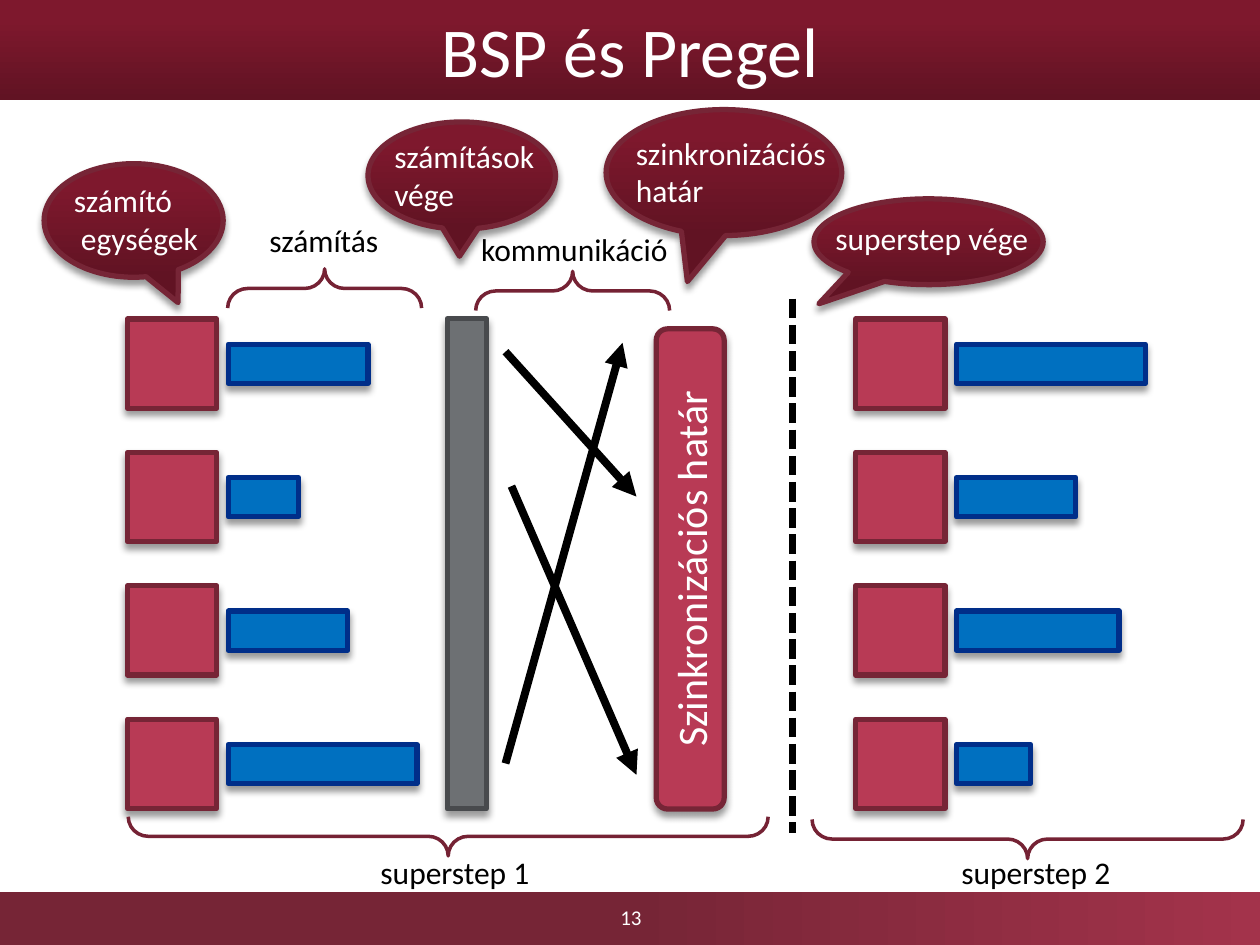
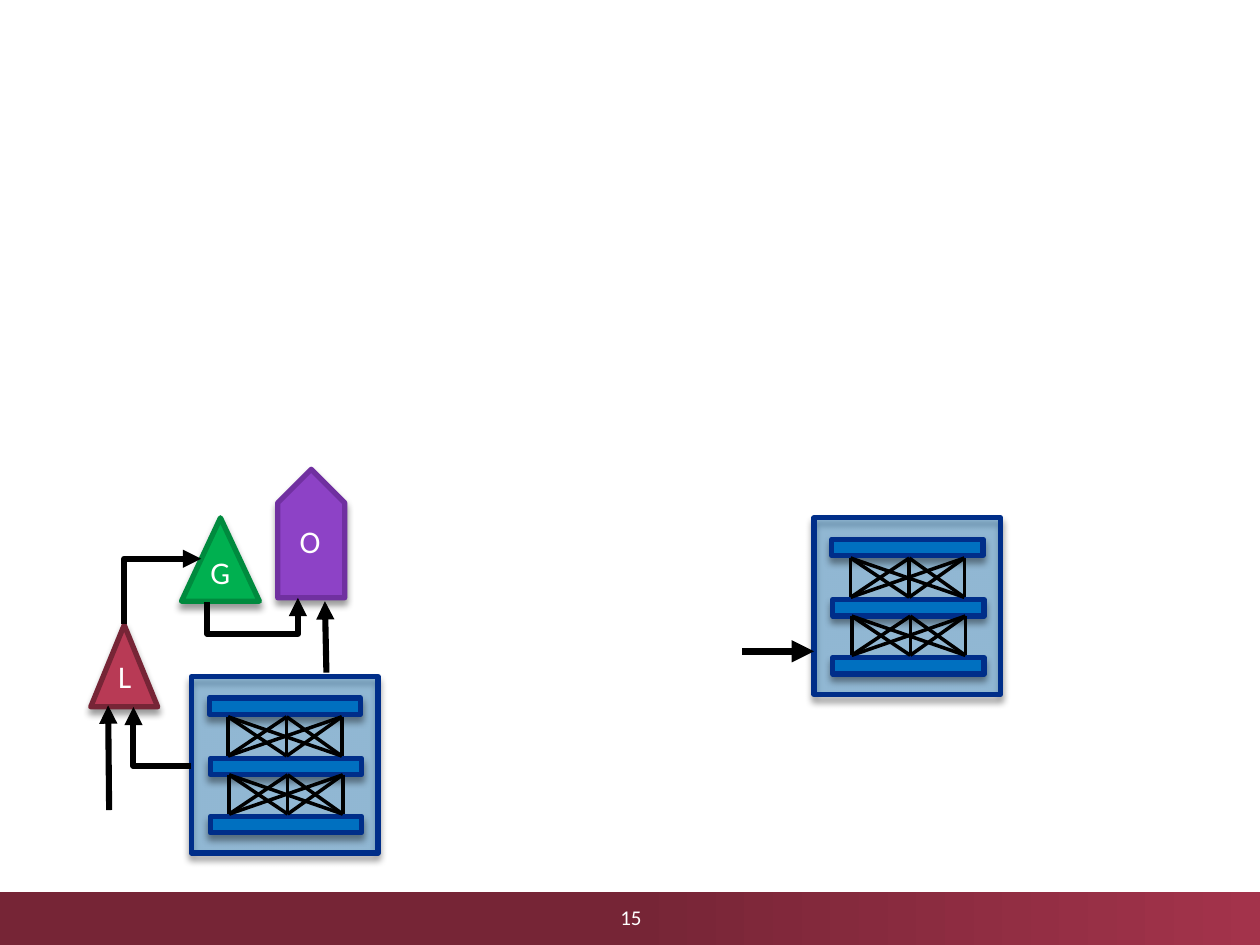
from copy import deepcopy
from itertools import product

from lxml import etree
from pptx import Presentation, util as u
from pptx.dml.color import RGBColor
from pptx.enum import dml, shapes, text
from pptx.oxml.ns import qn

DARK_RED = [(0, "611323"), (0.8, "7E182D"), (1, "81162D")]
FOOTER_RED = [(0, "762536"), (0.5, "762536"), (1, "A3334B")]
THEME = {
    "font": "Calibri",
    "white": "FFFFFF",
    "black": "000000",
    "title": 40,
    "barrier": 24,
    "label": 18,
    "number": 12,
    "looks": {
        "title": {"gradient": DARK_RED, "angle": 90},
        "footer": {"gradient": FOOTER_RED, "angle": 0},
        "callout": {"gradient": DARK_RED, "angle": 90, "line": "762536", "weight": 3, "shadow": True},
        "unit": {"fill": "B83A55", "line": "762536", "weight": 3, "shadow": True},
        "work": {"fill": "0070C0", "line": "002E89", "weight": 3, "shadow": True},
        "module": {"fill": "0070C0", "alpha": 34, "line": "002E89", "weight": 3, "shadow": True},
        "finish": {"fill": "6D7073", "line": "484A4D", "weight": 3, "shadow": True},
        "global": {"fill": "00B050", "line": "008A3E", "weight": 3, "shadow": True},
        "output": {"fill": "8D42C6", "line": "7030A0", "weight": 3, "shadow": True},
        "brace": {"line": "752234", "weight": 2},
        "plain": {},
    },
}
MIDDLE = {"vertical_anchor": text.MSO_ANCHOR.MIDDLE, "word_wrap": True}
WRAPPED = {"word_wrap": True, "auto_size": text.MSO_AUTO_SIZE.SHAPE_TO_FIT_TEXT}
ONE_LINE = {**WRAPPED, "word_wrap": False}
KIND = shapes.MSO_SHAPE


def paint(part, look, words="", size="label", ink="white", frame=WRAPPED, align=None, turn=0, bends=()):
    style = THEME["looks"][look]
    if look != "title":
        part.rotation = turn
        part.shadow.inherit = False
    for place, bend in enumerate(bends):
        part.adjustments[place] = bend
    props = part._element.spPr
    if "gradient" in style:
        part.fill.gradient()
        part.fill.gradient_angle = style["angle"]
        stop_list = props.find(".//" + qn("a:gsLst"))
        stop_list.append(deepcopy(stop_list[0]))
        for stop, (position, colour) in zip(part.fill.gradient_stops, style["gradient"]):
            stop.position = position
            stop.color.rgb = RGBColor.from_string(colour)
    elif "fill" in style:
        part.fill.solid()
        part.fill.fore_color.rgb = RGBColor.from_string(style["fill"])
        if "alpha" in style:
            colour = props.find(qn("a:solidFill"))[0]
            etree.SubElement(colour, qn("a:alpha"), val=str(style["alpha"] * 1000))
    else:
        part.fill.background()
    if "line" in style:
        part.line.color.rgb = RGBColor.from_string(style["line"])
        part.line.width = u.Pt(style["weight"])
    else:
        part.line.fill.background()
    if "shadow" in style:
        shade = etree.SubElement(props.find(qn("a:effectLst")), qn("a:outerShdw"),
                                 blurRad=str(u.Pt(4)), dist=str(u.Pt(3)), dir="5400000", rotWithShape="0")
        colour = etree.SubElement(shade, qn("a:srgbClr"), val=THEME["black"])
        etree.SubElement(colour, qn("a:alpha"), val="40000")
    if words:
        part.text_frame.text = words
        for name, value in frame.items():
            setattr(part.text_frame, name, value)
        for paragraph in part.text_frame.paragraphs:
            paragraph.alignment = align
            for name, value in {"name": THEME["font"], "size": u.Pt(THEME[size])}.items():
                setattr(paragraph.font, name, value)
            paragraph.font.color.rgb = RGBColor.from_string(THEME[ink])
    return part


def draw_line(canvas, ends, weight, arrow=True, dash=None, kind=shapes.MSO_CONNECTOR.STRAIGHT):
    link = canvas.add_connector(kind, *map(u.Cm, ends))
    link.line.color.rgb = RGBColor.from_string(THEME["black"])
    link.line.width = u.Pt(weight)
    if dash:
        link.line.dash_style = dash
    props = link._element.spPr
    if arrow:
        etree.SubElement(props.find(qn("a:ln")), qn("a:tailEnd"), type="triangle")
    etree.SubElement(props, qn("a:effectLst"))
    return link


deck = Presentation()
deck.slide_width, deck.slide_height = u.Cm(25.4), u.Cm(19.05)
bsp = deck.slides.add_slide(deck.slide_layouts[5])
dataflow = deck.slides.add_slide(deck.slide_layouts[6])

for slide, number in [(bsp, "13"), (dataflow, "15")]:
    paint(slide.shapes.add_shape(KIND.RECTANGLE, *map(u.Cm, (0, 17.98, 25.4, 1.07))), "footer")
    paint(slide.shapes.add_textbox(*map(u.Cm, (9.86, 17.98, 5.72, 1.02))), "plain",
          number, "number", frame=MIDDLE, align=text.PP_ALIGN.CENTER)

heading = bsp.shapes.title
for side, length in {"left": 0, "top": 0, "width": 25.4, "height": 2.01}.items():
    setattr(heading, side, u.Cm(length))
paint(heading, "title", "BSP és Pregel", "title", frame=MIDDLE, align=text.PP_ALIGN.CENTER)

supersteps = [(2.57, [2.82, 1.42, 2.41, 3.81]), (17.25, [3.81, 2.41, 3.28, 1.5])]
for left, durations in supersteps:
    for row, duration in enumerate(durations):
        top = 6.43 + 2.69 * row
        paint(bsp.shapes.add_shape(KIND.RECTANGLE, *map(u.Cm, (left, top, 1.8, 1.8))), "unit")
        paint(bsp.shapes.add_shape(KIND.RECTANGLE, *map(u.Cm, (left + 2.03, top + 0.51, duration, 0.79))), "work")

paint(bsp.shapes.add_shape(KIND.RECTANGLE, *map(u.Cm, (4.47, 10.97, 9.88, 0.79))), "finish", turn=270)
barrier = paint(bsp.shapes.add_shape(KIND.ROUNDED_RECTANGLE, *map(u.Cm, (13.23, 6.63, 1.37, 9.68))), "unit",
                "Szinkronizációs határ", "barrier", frame=MIDDLE, align=text.PP_ALIGN.CENTER)
barrier.text_frame._txBody.bodyPr.set("vert", "vert270")

for message in [(10.19, 7.09, 12.83, 10.01), (10.31, 9.8, 12.83, 15.62), (10.19, 15.39, 12.55, 6.91)]:
    draw_line(bsp.shapes, message, 4.5)
draw_line(bsp.shapes, (15.98, 6.02, 15.98, 16.79), 3.75, arrow=False, dash=dml.MSO_LINE.SQUARE_DOT)

callouts = [
    ("számító\n egységek", (0.89, 3.3, 3.61, 2.29), (0.248, 0.723), (1.24, 3.53, 3.15, 1.8), WRAPPED),
    ("számítások vége", (7.42, 2.46, 3.78, 2.16), (-0.012, 0.753), (7.7, 2.64, 3.86, 1.8), WRAPPED),
    ("szinkronizációs határ", (12.22, 2.21, 4.75, 2.54), (-0.155, 0.865), (12.57, 2.57, 4.34, 1.8), WRAPPED),
    ("superstep vége", (16.41, 4.01, 4.62, 1.73), (-0.479, 0.723), (16.59, 4.29, 4.45, 1.02), ONE_LINE),
]
for words, bubble, pointer, box, frame in callouts:
    paint(bsp.shapes.add_shape(KIND.OVAL_CALLOUT, *map(u.Cm, bubble)), "callout", bends=pointer)
    paint(bsp.shapes.add_textbox(*map(u.Cm, box)), "plain", words, frame=frame)

phases = [
    ("számítás", (6.15, 3.86, 0.79, 3.91), 270, (5.18, 4.34, 2.72, 1.02)),
    ("kommunikáció", (11.15, 3.91, 0.79, 3.91), 270, (9.45, 4.52, 4.32, 1.02)),
    ("superstep 1", (8.64, 10.41, 0.79, 12.9), 90, (7.42, 17.07, 3.56, 1.02)),
    ("superstep 2", (20.32, 12.57, 0.79, 8.69), 90, (19.13, 17.07, 3.56, 1.02)),
]
for words, span, turn, box in phases:
    paint(bsp.shapes.add_shape(KIND.RIGHT_BRACE, *map(u.Cm, span)), "brace", turn=turn, bends=(0.51, 0.5))
    paint(bsp.shapes.add_textbox(*map(u.Cm, box)), "plain", words, ink="black", frame=ONE_LINE)

nodes = [
    ("L", KIND.ISOSCELES_TRIANGLE, (1.83, 12.6, 1.35, 1.65), 0, "unit", (2.13, 13.13, 0.79, 1.02)),
    ("G", KIND.ISOSCELES_TRIANGLE, (3.66, 10.44, 1.57, 1.68), 0, "global", (3.99, 11.02, 0.91, 1.02)),
    ("O", KIND.PENTAGON, (4.98, 10.08, 2.59, 1.35), 270, "output", (5.79, 10.39, 0.94, 1.02)),
]
for letter, kind, outline, turn, look, box in nodes:
    paint(dataflow.shapes.add_shape(kind, *map(u.Cm, outline)), look, turn=turn)
    paint(dataflow.shapes.add_textbox(*map(u.Cm, box)), "plain", letter, frame=ONE_LINE)

for left, top in [(3.86, 13.64), (16.41, 10.44)]:
    module = dataflow.shapes.add_group_shape().shapes
    paint(module.add_shape(KIND.RECTANGLE, *map(u.Cm, (left, top, 3.76, 3.56))), "module")
    for dx, dy in [(0.36, 0.43), (0.38, 1.65), (0.38, 2.82)]:
        paint(module.add_shape(KIND.RECTANGLE, *map(u.Cm, (left + dx, top + dy, 3.05, 0.33))), "work")
    for dx, dy in [(0.74, 0.81), (0.76, 1.98)]:
        for upper, lower in product((0, 1.18, 2.29), repeat=2):
            x, y = left + dx, top + dy
            draw_line(module, (x + upper, y, x + lower, y + 0.79), 2, arrow=False)

for ends, weight in [((2.2, 16.33, 2.18, 14.22), 3.5), ((6.58, 13.56, 6.55, 12.12), 3.5),
                     ((14.96, 13.13, 16.41, 13.13), 4.25)]:
    draw_line(dataflow.shapes, ends, weight)

elbows = [
    ((2.69, 14.25, 1.17, 1.19), {"rot": "10800000"}, "bentConnector2", None),
    ((2.62, 11.15, 1.32, 1.55), {"rot": "5400000", "flipH": "1", "flipV": "1"}, "bentConnector2", None),
    ((5.05, 11.18, 0.08, 1.83), {"rot": "5400000", "flipH": "1", "flipV": "1"}, "bentConnector3", -800000),
]
for (left, top, width, height), facing, preset, bend in elbows:
    link = draw_line(dataflow.shapes, (left, top, left + width, top + height), 3.5,
                     kind=shapes.MSO_CONNECTOR.ELBOW)
    for name, value in facing.items():
        link._element.spPr.find(qn("a:xfrm")).set(name, value)
    geometry = link._element.spPr.find(qn("a:prstGeom"))
    geometry.set("prst", preset)
    if bend:
        etree.SubElement(geometry.find(qn("a:avLst")), qn("a:gd"), name="adj1", fmla=f"val {bend}")

deck.save("out.pptx")
